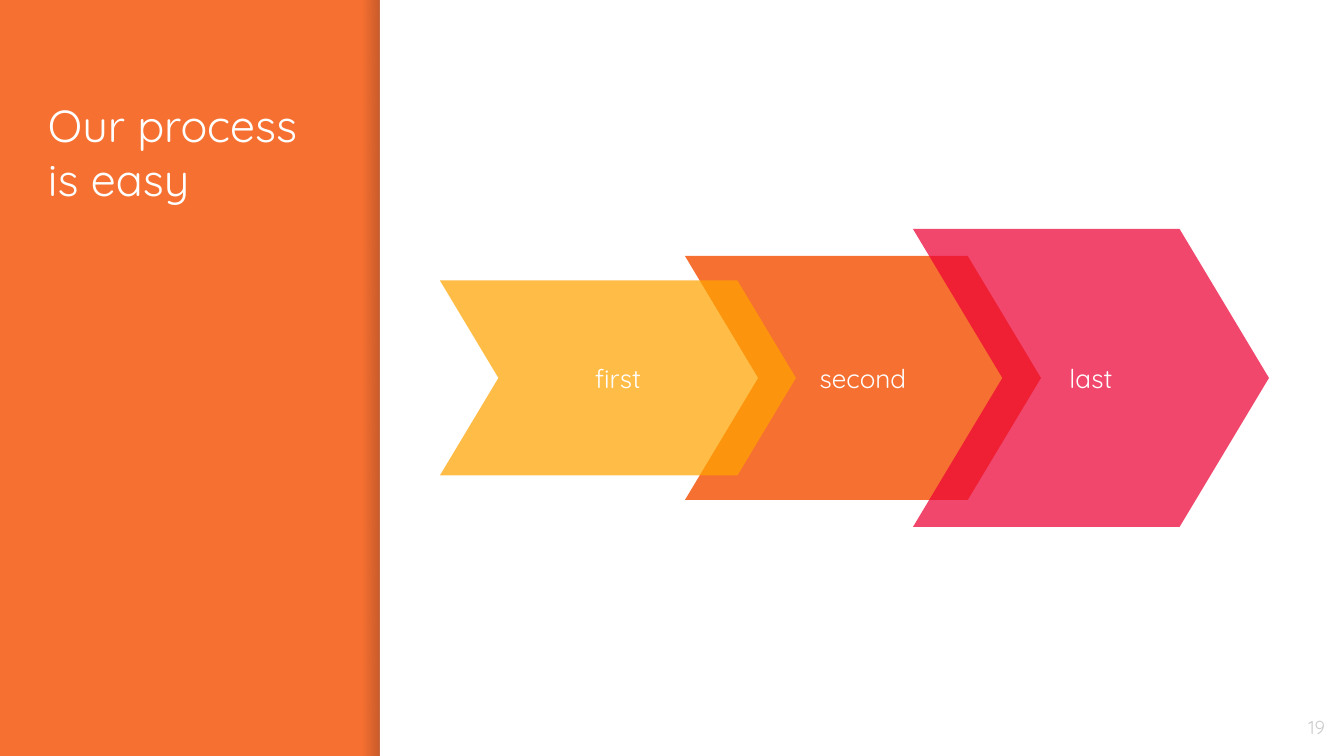
from pptx import Presentation
from pptx.dml.color import RGBColor
from pptx.enum.shapes import MSO_SHAPE as Shape
from pptx.enum.text import MSO_ANCHOR as Anchor, MSO_AUTO_SIZE as Fit, PP_ALIGN as Align
from pptx.oxml.ns import qn
from pptx.util import Pt
from lxml.etree import SubElement

PX = 914400 / 134.4  # EMU in one px
WIDE, HIGH = 1344, 756
EDGE = 380  # where the white panel starts
ORANGE, WHITE, GREY, DARK = "F67031", "FFFFFF", "CCCCCC", "000014"


def rgb(code):
    return RGBColor.from_string(code)


def write(item, text, size=14, color=WHITE, align=Align.CENTER, anchor=Anchor.MIDDLE):
    frame = item.text_frame
    frame.word_wrap = True
    frame.auto_size = Fit.NONE
    frame.vertical_anchor = anchor
    frame.margin_left = frame.margin_right = round(13 * PX)
    frame.margin_top = frame.margin_bottom = round(13 * PX)
    para = frame.paragraphs[0]
    para.alignment = align
    run = para.add_run()
    run.text = text
    run.font.size = Pt(size)
    run.font.name = "Quicksand"
    run.font.color.rgb = rgb(color)


deck = Presentation()
deck.slide_width, deck.slide_height = round(WIDE * PX), round(HIGH * PX)
slide = deck.slides.add_slide(deck.slide_layouts[5])
shapes = slide.shapes

# Background and white panel
slide.background.fill.solid()
slide.background.fill.fore_color.rgb = rgb(ORANGE)

# Kind, left, top, width, height, fill, opacity in percent, label
parts = [(Shape.RECTANGLE, EDGE, 0, WIDE - EDGE, HIGH, WHITE, 100, "")]

# Chevrons share a width and a middle line
for left, high, color, alpha, label in [
    (685, 244, ORANGE, 100, "second"),
    (913, 298, "ED0036", 72, "last"),
    (440, 195, "FFA400", 72, "first"),
]:
    parts.append((Shape.CHEVRON, left, (HIGH - high) / 2, 356, high, color, alpha, label))

for kind, left, top, wide, high, color, alpha, label in parts:
    part = shapes.add_shape(kind, *(round(n * PX) for n in (left, top, wide, high)))
    part.shadow.inherit = False
    part.line.fill.background()
    part.fill.solid()
    part.fill.fore_color.rgb = rgb(color)
    if alpha < 100:
        tint = next(part._element.spPr.iter(qn("a:srgbClr")))
        SubElement(tint, qn("a:alpha")).set("val", str(alpha * 1000))
    if label:
        part.adjustments[0] = 0.3
        write(part, label)

# Soft shade along the panel's edge
shade = shapes.add_shape(
    Shape.RECTANGLE, *(round(n * PX) for n in (EDGE - 17, 0, 17, HIGH)))
shade.shadow.inherit = False
shade.line.fill.background()
shade.fill.gradient()
shade.fill.gradient_angle = 0
for stop, place in zip(shade.fill.gradient_stops, (0, 1)):
    stop.position = place
    stop.color.rgb = rgb(DARK)
for tint, alpha in zip(shade._element.spPr.iter(qn("a:srgbClr")), (0, 20)):
    SubElement(tint, qn("a:alpha")).set("val", str(alpha * 1000))

# Title
title = shapes.title
title.left, title.top = round(35 * PX), round(85 * PX)
title.width, title.height = round(301 * PX), round(585 * PX)
write(title, "Our process is easy", size=24, align=Align.LEFT, anchor=Anchor.TOP)

# Page number
page = shapes.add_textbox(*(round(n * PX) for n in (1258, 698, 80, 58)))
write(page, "19", size=10, color=GREY, align=Align.RIGHT)

deck.save("out.pptx")
